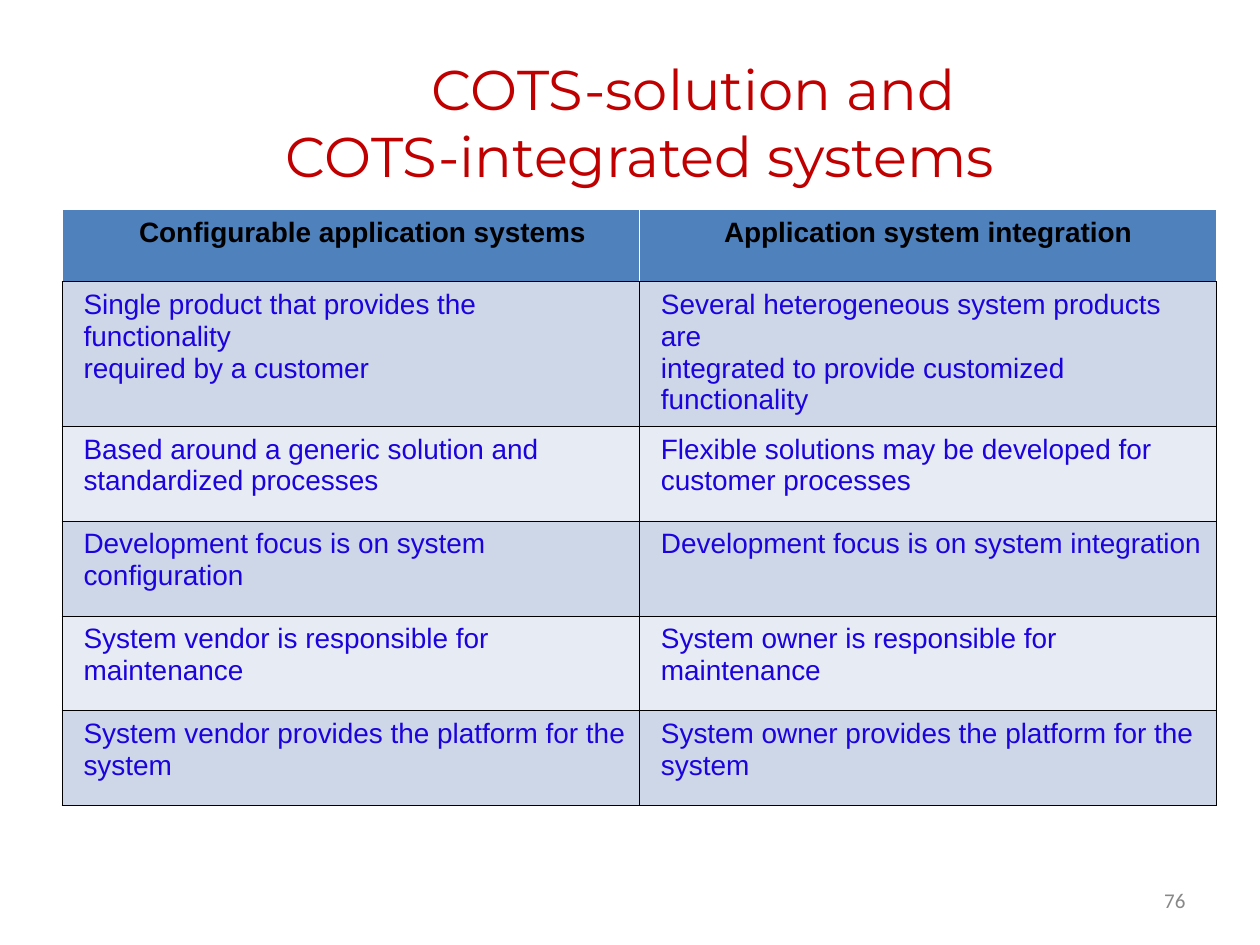
import dataclasses

import pptx
import pptx.dml.color
import pptx.enum.text
import pptx.oxml
import pptx.oxml.ns
import pptx.util

Cm = pptx.util.Cm
Pt = pptx.util.Pt
ALIGN = pptx.enum.text.PP_ALIGN


@dataclasses.dataclass(frozen=True)
class Theme:
    title_color: str = "C00000"
    header_text: str = "000000"
    body_text: str = "1C03DE"
    number_color: str = "888888"
    header_fill: str = "4F81BD"
    band_fills: tuple = ("CED7E7", "E7ECF4")
    header_border: str = "FFFFFF"
    border: str = "000000"
    border_width: float = 0.45
    title_font: str = "Montserrat"
    table_font: str = "Arial"
    number_font: str = "Calibri"
    title_size: int = 32
    table_size: int = 16
    number_size: int = 12


HEADERS = ["Configurable application systems", "Application system integration"]
COMPARISON = [
    (["Single product that provides the functionality", "required by a customer"],
     ["Several heterogeneous system products are",
      "integrated to provide customized functionality"]),
    (["Based around a generic solution and", "standardized processes"],
     ["Flexible solutions may be developed for", "customer processes"]),
    (["Development focus is on system", "configuration"],
     ["Development focus is on system integration"]),
    (["System vendor is responsible for", "maintenance"],
     ["System owner is responsible for", "maintenance"]),
    (["System vendor provides the platform for the", "system"],
     ["System owner provides the platform for the", "system"]),
]


def rgb(color):
    return pptx.dml.color.RGBColor.from_string(color)


def write(paragraph, text, *, font, size, color, bold=False, align=ALIGN.LEFT,
          line=None, before=0, margin=0, indent=0):
    """Fill a paragraph; line is points or a multiple, margin and indent are cm."""
    properties = paragraph._p.get_or_add_pPr()
    properties.set("marL", str(Cm(margin)))
    properties.set("indent", str(Cm(indent)))
    paragraph.alignment = align
    paragraph.space_before = Pt(before)
    if line is not None:
        paragraph.line_spacing = line
    run = paragraph.add_run()
    run.text = text
    run.font.name = font
    run.font.size = Pt(size)
    run.font.bold = bold
    run.font.color.rgb = rgb(color)


def set_borders(cell, width, **colors):
    """Draw the cell edges given as left, right, top and bottom colours."""
    properties = cell._tc.get_or_add_tcPr()
    tags = {"left": "lnL", "right": "lnR", "top": "lnT", "bottom": "lnB"}
    for position, (side, tag) in enumerate(tags.items()):
        properties.insert(position, pptx.oxml.parse_xml(
            f'<a:{tag} {pptx.oxml.ns.nsdecls("a")} w="{Pt(width)}">'
            f'<a:solidFill><a:srgbClr val="{colors[side]}"/></a:solidFill></a:{tag}>'))


class SlideBuilder:
    def __init__(self, presentation, theme):
        self.theme = theme
        self.slide = presentation.slides.add_slide(presentation.slide_layouts[5])

    def prepare_frame(self, shape, left, top, width, height, inset_top=0):
        shape.left, shape.top = Cm(left), Cm(top)
        shape.width, shape.height = Cm(width), Cm(height)
        frame = shape.text_frame
        frame.word_wrap = True
        frame.auto_size = pptx.enum.text.MSO_AUTO_SIZE.SHAPE_TO_FIT_TEXT
        frame.vertical_anchor = pptx.enum.text.MSO_ANCHOR.TOP
        frame.margin_left = frame.margin_right = frame.margin_bottom = 0
        frame.margin_top = Cm(inset_top)
        return frame.paragraphs[0]

    def title(self, text):
        theme = self.theme
        paragraph = self.prepare_frame(
            self.slide.shapes.title, 5, 0.94, 15.77, 2.8, inset_top=0.16)
        write(paragraph, text, font=theme.title_font, size=theme.title_size,
              color=theme.title_color, align=ALIGN.CENTER, line=Pt(38.2),
              margin=0.03, indent=2.16)

    def slide_number(self, text):
        theme = self.theme
        box = self.slide.shapes.add_textbox(0, 0, 0, 0)
        paragraph = self.prepare_frame(box, 23.37, 17.96, 0.64, 0.44)
        write(paragraph, text, font=theme.number_font, size=theme.number_size,
              color=theme.number_color, line=Pt(12.4), margin=0.1)

    def table(self, headers, rows):
        theme = self.theme
        heights = [1.45, 2.87] + [1.91] * (len(rows) - 1)
        column_width = 11.64
        table = self.slide.shapes.add_table(
            len(heights), len(headers), Cm(1.25), Cm(4.22),
            Cm(column_width * len(headers)), Cm(sum(heights))).table
        for column in table.columns:
            column.width = Cm(column_width)
        for row, height in zip(table.rows, heights):
            row.height = Cm(height)

        header_formats = [{"margin": 1.3}, {"align": ALIGN.CENTER}]
        for column, (text, layout) in enumerate(zip(headers, header_formats)):
            self.header_cell(table.cell(0, column), text, **layout)
        for index, row in enumerate(rows):
            fill = theme.band_fills[index % len(theme.band_fills)]
            for column, lines in enumerate(row):
                self.body_cell(table.cell(index + 1, column), lines, fill)

    def fill_cell(self, cell, fill, edge):
        cell.fill.solid()
        cell.fill.fore_color.rgb = rgb(fill)
        set_borders(cell, self.theme.border_width, left=edge, right=edge,
                    top=edge, bottom=self.theme.border)

    def header_cell(self, cell, text, **layout):
        theme = self.theme
        self.fill_cell(cell, theme.header_fill, theme.header_border)
        write(cell.text_frame.paragraphs[0], text, font=theme.table_font,
              size=theme.table_size, color=theme.header_text, bold=True,
              line=Pt(18.5), **layout)

    def body_cell(self, cell, lines, fill):
        theme = self.theme
        self.fill_cell(cell, fill, theme.border)
        frame = cell.text_frame
        for index, text in enumerate(lines):
            first = index == 0
            paragraph = frame.paragraphs[0] if first else frame.add_paragraph()
            write(paragraph, text, font=theme.table_font, size=theme.table_size,
                  color=theme.body_text, line=Pt(18.5) if first else None,
                  before=0 if first else 0.3, margin=0.18)


def main():
    presentation = pptx.Presentation()
    presentation.slide_width, presentation.slide_height = Cm(25.4), Cm(19.05)
    builder = SlideBuilder(presentation, Theme())
    builder.slide_number("76")
    builder.title("COTS-solution and COTS-integrated systems")
    builder.table(HEADERS, COMPARISON)
    presentation.save("out.pptx")


if __name__ == "__main__":
    main()
